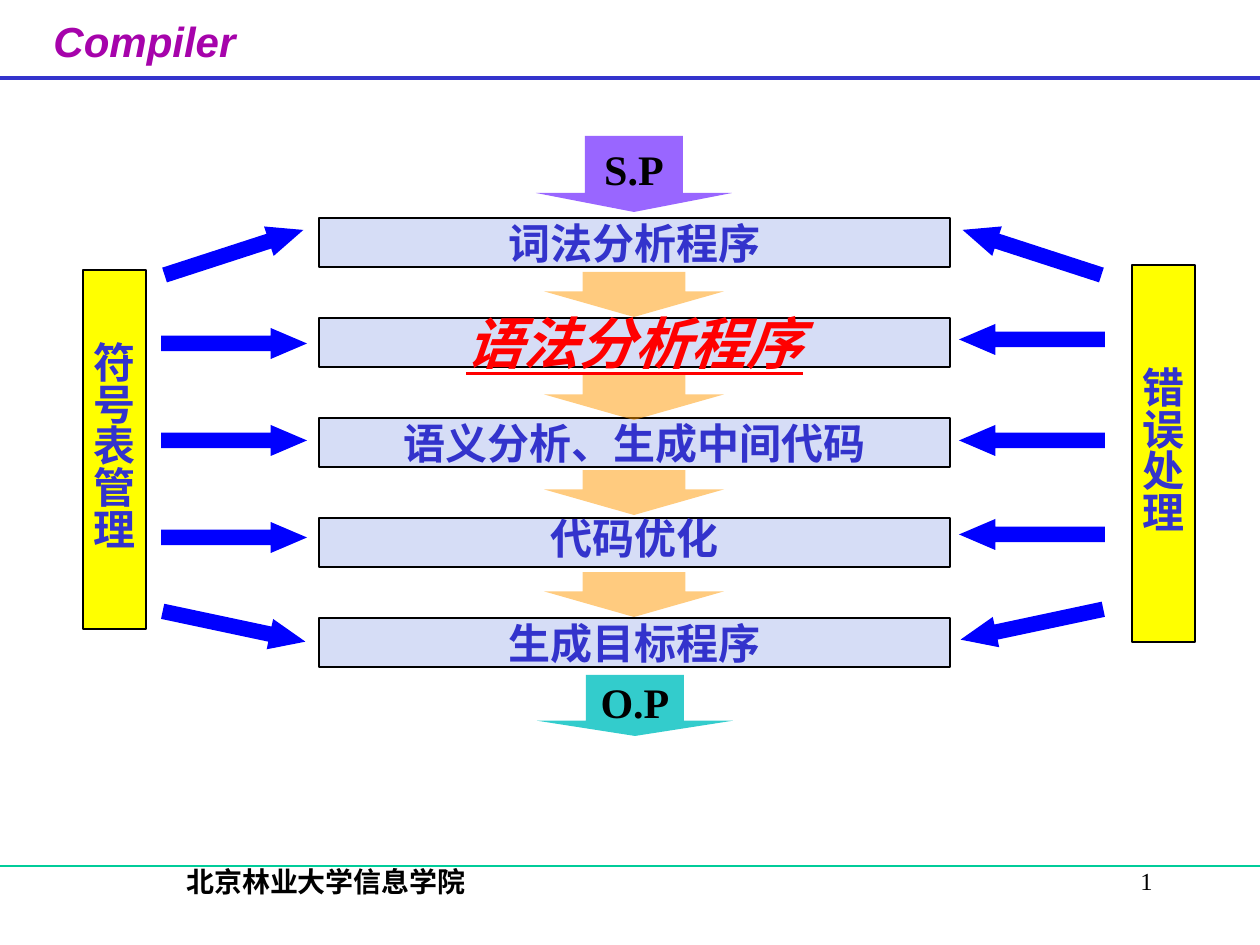
from dataclasses import dataclass, field
from typing import NamedTuple

from lxml import etree
from pptx import Presentation
from pptx.dml.color import RGBColor
from pptx.enum.shapes import MSO_CONNECTOR, MSO_SHAPE
from pptx.enum.text import MSO_ANCHOR, MSO_AUTO_SIZE, PP_ALIGN
from pptx.oxml.ns import qn
from pptx.util import Pt

RECT, DOWN = MSO_SHAPE.RECTANGLE, MSO_SHAPE.DOWN_ARROW
RIGHT, LEFT = MSO_SHAPE.RIGHT_ARROW, MSO_SHAPE.LEFT_ARROW
STRAIGHT = MSO_CONNECTOR.STRAIGHT
TOP, MIDDLE = MSO_ANCHOR.TOP, MSO_ANCHOR.MIDDLE
CENTER, ALIGN_R = PP_ALIGN.CENTER, PP_ALIGN.RIGHT
NO_FIT = MSO_AUTO_SIZE.NONE
SCALE = 914400 / 126


@dataclass(frozen=True)
class Theme:
    title: str = "A603AB"
    rule: str = "3333CC"
    foot: str = "00CC99"
    ink: str = "000000"
    text: str = "3333CC"
    focus: str = "FF0000"
    step: str = "D6DDF6"
    side: str = "FFFF00"
    link: str = "0000FF"
    flow: str = "FF9900"
    source: str = "9966FF"
    target: str = "33CCCC"
    big: int = 32
    main: int = 24
    small: int = 16
    page: int = 14
    sans: str = "Arial"
    serif: str = "Times New Roman"
    han: str = "Noto Sans CJK SC"


T = Theme()


class Box(NamedTuple):
    x: int
    y: int
    w: int
    h: int


@dataclass(frozen=True)
class Style:
    face: str = T.han
    size: int = T.main
    color: str = T.text
    align: PP_ALIGN = CENTER
    anchor: MSO_ANCHOR = MIDDLE
    wrap: bool = False
    pitch: float = 1.0
    inset: int = 6
    font: dict = field(default_factory=lambda: {"bold": True})


@dataclass(frozen=True)
class Step:
    text: str
    style: Style = Style()


@dataclass(frozen=True)
class Side:
    text: str
    box: Box
    kind: MSO_SHAPE
    x: int
    tops: tuple
    sign: int


def px(n: float) -> int:
    return round(n * SCALE)


def emu(box: Box) -> list[int]:
    return [px(n) for n in box]


def rgb(color: str) -> RGBColor:
    return RGBColor.from_string(color)


def write(shape, text: str, style: Style) -> None:
    frame = shape.text_frame
    frame.text = text
    form = {
        "auto_size": NO_FIT, "word_wrap": style.wrap,
        "vertical_anchor": style.anchor, "margin_top": px(style.inset),
    }
    for name, value in form.items():
        setattr(frame, name, value)
    for para in frame.paragraphs:
        para.alignment, para.line_spacing = style.align, style.pitch
        for run in para.runs:
            look = {"name": style.face, "size": Pt(style.size), **style.font}
            for name, value in look.items():
                setattr(run.font, name, value)
            run.font.color.rgb = rgb(style.color)
            east = etree.SubElement(run.font._element, qn("a:ea"))
            east.set("typeface", T.han)


def draw(slide, kind: MSO_SHAPE, box: Box, fill: str, edge: bool = False,
         adjust: tuple = (), turn: int = 0, alpha: int = 100):
    shape = slide.shapes.add_shape(kind, *emu(box))
    shape.shadow.inherit = False
    shape.fill.solid()
    shape.fill.fore_color.rgb = rgb(fill)
    if alpha < 100:
        color = shape._element.spPr.find(".//" + qn("a:srgbClr"))
        etree.SubElement(color, qn("a:alpha")).set("val", str(alpha * 1000))
    if edge:
        shape.line.color.rgb = rgb(T.ink)
        shape.line.width = Pt(1)
    else:
        shape.line.fill.background()
    for i, value in enumerate(adjust):
        shape.adjustments[i] = value
    shape.rotation = turn
    return shape


def rule(slide, y: int, color: str, width: float) -> None:
    line = slide.shapes.add_connector(STRAIGHT, 0, px(y), px(1260), px(y))
    line.line.color.rgb = rgb(color)
    line.line.width = Pt(width)
    etree.SubElement(line._element.spPr, qn("a:effectLst"))


def label(slide, text: str, box: Box, style: Style) -> None:
    write(slide.shapes.add_textbox(*emu(box)), text, style)


def head(slide) -> None:
    title = slide.shapes.title
    title.left, title.top, title.width, title.height = emu(Box(24, 5, 241, 78))
    write(title, "Compiler", Style(T.sans, color=T.title, anchor=TOP, inset=10,
                                   font={"bold": True, "italic": True}))


def side(slide, item: Side) -> None:
    for y, turn in zip(item.tops, TURNS):
        draw(slide, item.kind, Box(item.x, y, 146, 31), T.link,
             adjust=(0.5, 1.17), turn=turn * item.sign)
    bar = draw(slide, RECT, item.box, T.side, edge=True)
    write(bar, "\n".join(item.text), Style(pitch=0.83))


FOCUS = Style(size=T.big, color=T.focus,
              font={"bold": True, "italic": True, "underline": True})
STEPS = [
    Step("词法分析程序"),
    Step("语法分析程序", FOCUS),
    Step("语义分析、生成中间代码"),
    Step("代码优化", Style(pitch=0.8)),
    Step("生成目标程序"),
]
FLOWS = (272, 375, 470, 572)
TURNS = (-18, 0, 0, 0, 12)
ENDS = [
    ("S.P", Box(536, 136, 196, 76), T.source),
    ("O.P", Box(537, 675, 196, 61), T.target),
]
SIDES = [
    Side("错误处理", Box(1132, 265, 63, 377), LEFT, 959,
         (237, 324, 425, 519, 609), -1),
    Side("符号表管理", Box(83, 270, 63, 359), RIGHT, 161,
         (237, 328, 425, 522, 611), 1),
]


def main() -> None:
    deck = Presentation()
    deck.slide_width, deck.slide_height = px(1260), px(945)
    slide = deck.slides.add_slide(deck.slide_layouts[5])
    head(slide)
    rule(slide, 78, T.rule, 2.25)
    rule(slide, 866, T.foot, 0.75)
    label(slide, "1", Box(903, 860, 262, 63),
          Style(T.serif, T.page, T.ink, ALIGN_R, TOP, True, font={}))
    label(slide, "北京林业大学信息学院", Box(65, 859, 522, 63),
          Style(T.serif, T.small, T.ink, anchor=TOP, wrap=True))
    for text, box, fill in ENDS:
        shape = draw(slide, DOWN, box, fill, adjust=(0.5, 0.25))
        write(shape, text, Style(T.serif, color=T.ink))
    for i, step in enumerate(STEPS):
        shape = draw(slide, RECT, Box(319, 218 + 100 * i, 631, 49), T.step, edge=True)
        write(shape, step.text, step.style)
    for y in FLOWS:
        draw(slide, DOWN, Box(544, y, 180, 45), T.flow,
             adjust=(0.57, 0.57), alpha=50)
    for item in SIDES:
        side(slide, item)
    deck.save("out.pptx")


if __name__ == "__main__":
    main()
